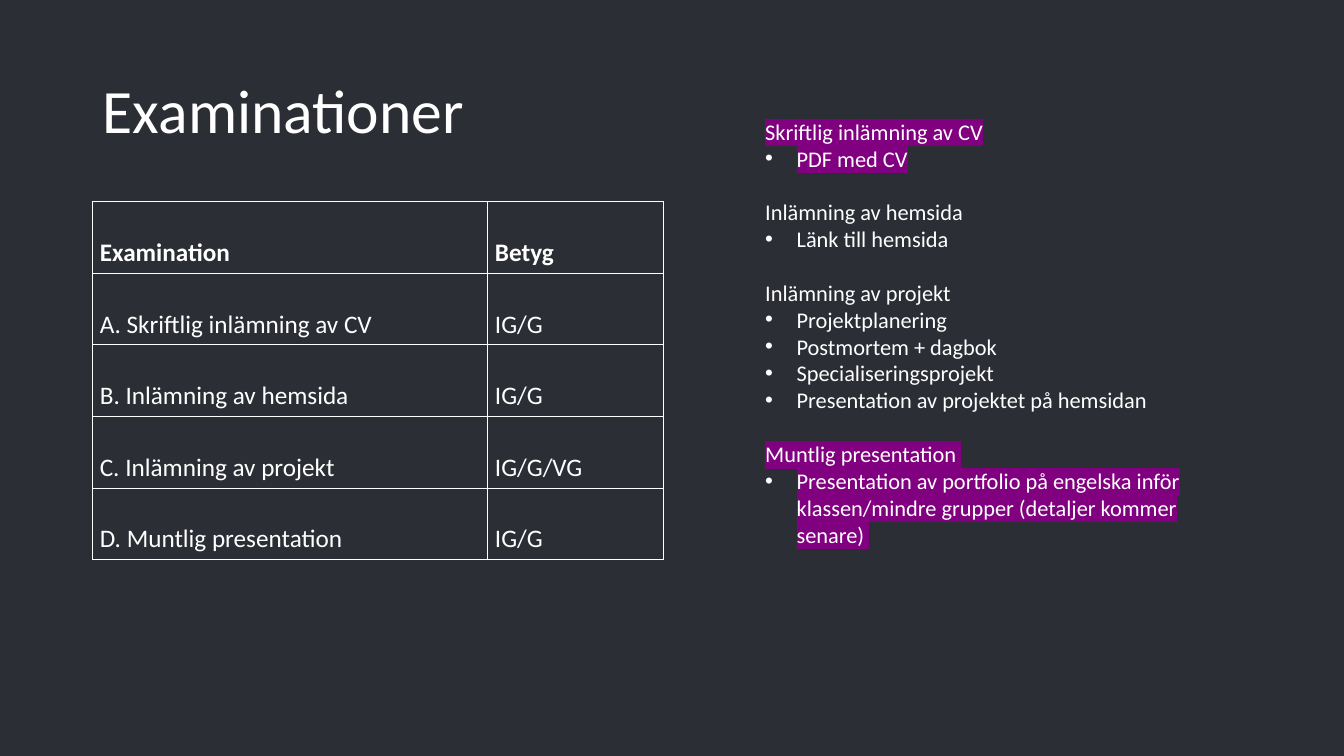
from lxml import etree
from pptx import Presentation
from pptx.dml.color import RGBColor
from pptx.enum.text import MSO_ANCHOR, PP_ALIGN
from pptx.oxml.ns import qn
from pptx.util import Inches, Pt

LEFT = PP_ALIGN.LEFT
MIDDLE = MSO_ANCHOR.MIDDLE
BOTTOM = MSO_ANCHOR.BOTTOM
WHITE, DARK, PURPLE = "FFFFFF", "2C2E35", "800080"

deck = Presentation()
deck.slide_width = Inches(13.33)
deck.slide_height = Inches(7.5)
COL = deck.slide_width / 100
ROW = deck.slide_height / 100


def paint(fill, tone):
    fill.solid()
    fill.fore_color.rgb = RGBColor.from_string(tone)


def write(para, text, size, bold=False):
    run = para.add_run()
    run.text = text
    run.font.name = "Calibri"
    run.font.size = Pt(size)
    run.font.bold = bold
    paint(run.font.fill, WHITE)
    return run


slide = deck.slides.add_slide(deck.slide_layouts[5])
paint(slide.background.fill, DARK)

title = slide.shapes.title
title.left, title.top = int(6.9 * COL), int(5.33 * ROW)
title.width, title.height = int(86.25 * COL), int(19.33 * ROW)
title.text_frame.vertical_anchor = MIDDLE
head = title.text_frame.paragraphs[0]
head.alignment = LEFT
head.line_spacing = 0.9
write(head, "Examinationer", 44)

exams = [
    ("Examination", "Betyg"),
    ("A. Skriftlig inlämning av CV", "IG/G"),
    ("B. Inlämning av hemsida", "IG/G"),
    ("C. Inlämning av projekt", "IG/G/VG"),
    ("D. Muntlig presentation", "IG/G"),
]
widths = [29.4, 13.05]
high = 9.47
table = slide.shapes.add_table(
    len(exams), len(widths), int(6.9 * COL), int(26.67 * ROW),
    int(sum(widths) * COL), int(len(exams) * high * ROW)).table
for i, width in enumerate(widths):
    table.columns[i].width = int(width * COL)
for r, exam in enumerate(exams):
    table.rows[r].height = int(high * ROW)
    for c, text in enumerate(exam):
        cell = table.cell(r, c)
        cell.vertical_anchor = BOTTOM
        cell.margin_left = cell.margin_right = int(0.53 * COL)
        write(cell.text_frame.paragraphs[0], text, 18, r == 0)
        paint(cell.fill, DARK)
        props = cell._tc.get_or_add_tcPr()
        for i, side in enumerate(["lnL", "lnR", "lnT", "lnB"]):
            line = etree.Element(qn("a:" + side), w=str(Pt(0.75)))
            tint = etree.SubElement(line, qn("a:solidFill"))
            etree.SubElement(tint, qn("a:srgbClr"), val=WHITE)
            props.insert(i, line)

groups = [
    ("Skriftlig inlämning av CV", ["PDF med CV"], True),
    ("Inlämning av hemsida", ["Länk till hemsida"], False),
    ("Inlämning av projekt",
     ["Projektplanering", "Postmortem + dagbok", "Specialiseringsprojekt",
      "Presentation av projektet på hemsidan"], False),
    ("Muntlig presentation ",
     ["Presentation av portfolio på engelska inför klassen/mindre grupper "
      "(detaljer kommer senare) "], True),
]
box = slide.shapes.add_textbox(
    int(56.2 * COL), int(14.93 * ROW), int(36.15 * COL), int(66.93 * ROW))
frame = box.text_frame
frame.word_wrap = True
indent = int(2.34 * COL)
for g, (name, points, marked) in enumerate(groups):
    for i, text in enumerate([name] + points):
        first = g == 0 and i == 0
        para = frame.paragraphs[0] if first else frame.add_paragraph()
        run = write(para, text, 16)
        if i:
            props = para._p.get_or_add_pPr()
            props.set("marL", str(indent))
            props.set("indent", str(-indent))
            etree.SubElement(props, qn("a:buFont"), typeface="Arial")
            etree.SubElement(props, qn("a:buChar"), char="•")
        elif g:
            para.space_before = Pt(19.2)
        if marked:
            glow = etree.Element(qn("a:highlight"))
            etree.SubElement(glow, qn("a:srgbClr"), val=PURPLE)
            run._r.rPr.find(qn("a:solidFill")).addnext(glow)

deck.save("out.pptx")
